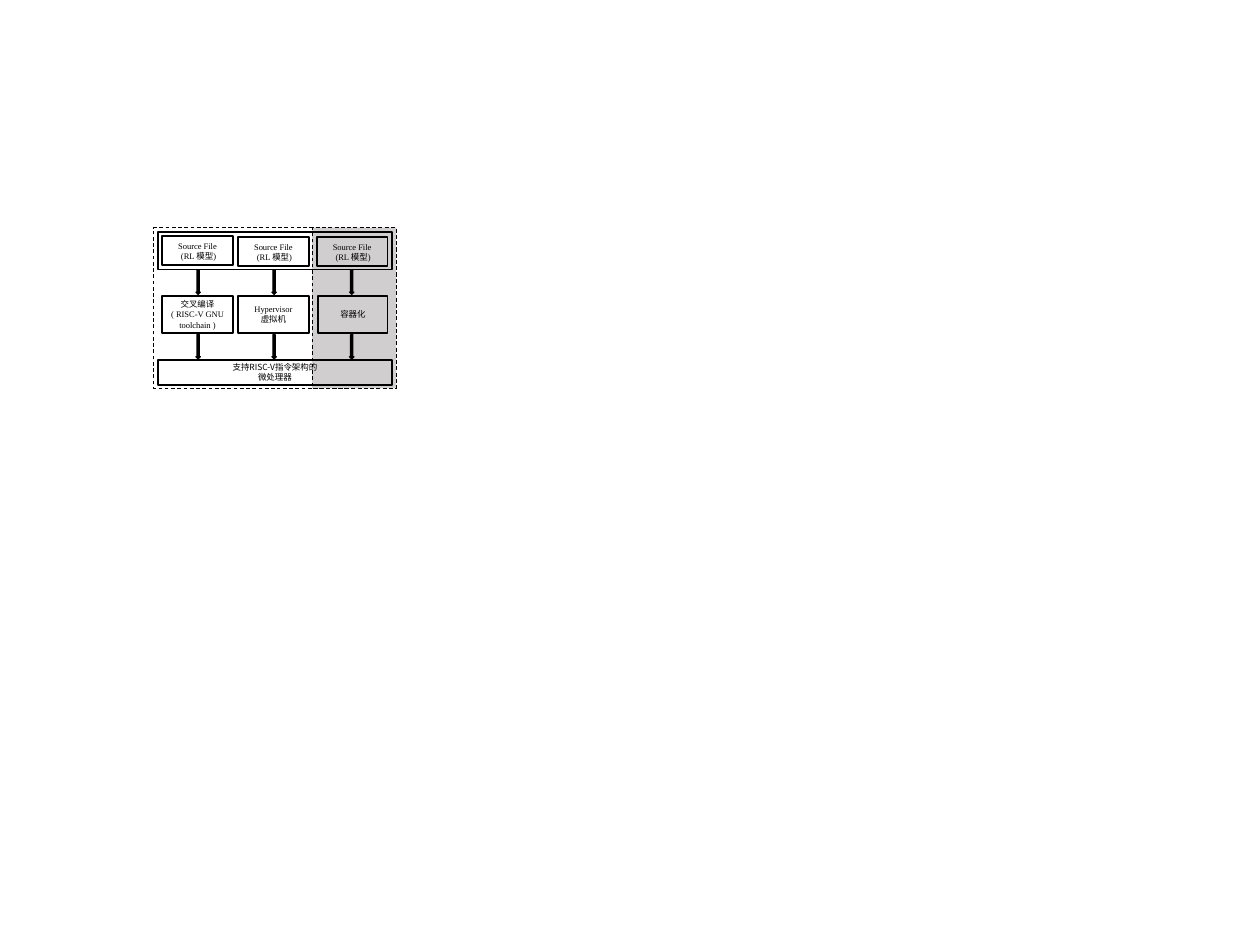
from dataclasses import dataclass

from lxml.etree import SubElement
from pptx import Presentation
from pptx.dml.color import RGBColor
from pptx.enum.dml import MSO_LINE
from pptx.enum.shapes import MSO_SHAPE
from pptx.enum.text import MSO_ANCHOR, PP_ALIGN
from pptx.oxml.ns import qn
from pptx.shapes.autoshape import Shape
from pptx.slide import Slide
from pptx.util import Cm, Pt

BLACK = "000000"
GREY = "D0CECE"
LATIN_FONT = "Times New Roman"
CHINESE_FONT = "Noto Sans CJK SC"

SOLID = {"width": Pt(1.5)}
DASHED = {"width": Pt(0.75), "dash_style": MSO_LINE.DASH}
ARROW_EDGE = {"width": Pt(1)}


@dataclass(frozen=True)
class Box:
    """A rectangle, with lengths in centimetres."""
    left: float
    top: float
    width: float
    height: float
    lines: tuple[str, ...] = ()
    font: str = LATIN_FONT


@dataclass(frozen=True)
class Route:
    """One way of bringing a model to the processor."""
    left: float
    source_top: float
    step: Box
    arrow_center: float


SOURCE_LINES = ("Source File", " (RL 模型)")
SOURCE_WIDTH, SOURCE_HEIGHT = 2.06, 0.84
STEP_TOP, STEP_HEIGHT = 8.61, 1.09
ARROW_TOPS = (7.86, 9.74)
ARROW_WIDTH, ARROW_HEIGHT = 0.13, 0.71

CONTAINER_AREA = Box(9.09, 6.63, 2.44, 4.67)
SYSTEM_FRAME = Box(4.47, 6.63, 7.06, 4.67)
SOURCE_FRAME = Box(4.6, 6.76, 6.81, 1.09)
PROCESSOR = Box(4.6, 10.49, 6.81, 0.71,
                ("支持RISC-V指令架构的", "微处理器"), CHINESE_FONT)

ROUTES = (
    Route(4.72, 6.88, Box(4.72, STEP_TOP, 2.06, STEP_HEIGHT,
                          ("交叉编译", "( RISC-V GNU toolchain )")), 5.77),
    Route(6.93, 6.91, Box(6.93, STEP_TOP, 2.06, STEP_HEIGHT,
                          ("Hypervisor", "虚拟机")), 7.98),
    Route(9.22, 6.91, Box(9.27, STEP_TOP, 2.01, STEP_HEIGHT,
                          ("容器化",)), 10.24),
)


def color(hex_value: str) -> RGBColor:
    return RGBColor.from_string(hex_value)


def apply_format(target: object, values: dict) -> None:
    for name, value in values.items():
        setattr(target, name, value)


def write_lines(shape: Shape, box: Box) -> None:
    frame = shape.text_frame
    apply_format(frame, {"word_wrap": True, "vertical_anchor": MSO_ANCHOR.MIDDLE})
    for index, line in enumerate(box.lines):
        paragraph = frame.add_paragraph() if index else frame.paragraphs[0]
        paragraph.alignment = PP_ALIGN.CENTER
        run = paragraph.add_run()
        run.text = line
        apply_format(run.font, {"size": Pt(7), "name": box.font})
        run.font.color.rgb = color(BLACK)
        east_asian = SubElement(run.font._element, qn("a:ea"))
        east_asian.set("typeface", CHINESE_FONT)


def draw_box(slide: Slide, box: Box, edge: dict, fill: str | None = None,
             preset: MSO_SHAPE = MSO_SHAPE.RECTANGLE) -> None:
    shape = slide.shapes.add_shape(preset, Cm(box.left), Cm(box.top),
                                   Cm(box.width), Cm(box.height))
    shape.shadow.inherit = False
    if fill:
        shape.fill.solid()
        shape.fill.fore_color.rgb = color(fill)
    else:
        shape.fill.background()
    shape.line.color.rgb = color(BLACK)
    apply_format(shape.line, edge)
    if box.lines:
        write_lines(shape, box)


def draw_route(slide: Slide, route: Route) -> None:
    source = Box(route.left, route.source_top, SOURCE_WIDTH, SOURCE_HEIGHT, SOURCE_LINES)
    draw_box(slide, source, SOLID)
    draw_box(slide, route.step, SOLID)
    for top in ARROW_TOPS:
        arrow = Box(route.arrow_center - ARROW_WIDTH / 2, top, ARROW_WIDTH, ARROW_HEIGHT)
        draw_box(slide, arrow, ARROW_EDGE, BLACK, MSO_SHAPE.DOWN_ARROW)


def main() -> None:
    presentation = Presentation()
    apply_format(presentation, {"slide_width": Cm(36.68), "slide_height": Cm(27.51)})
    blank_layout = presentation.slide_layouts[6]
    slide = presentation.slides.add_slide(blank_layout)

    # Shaded area and frames
    draw_box(slide, CONTAINER_AREA, DASHED, GREY)
    draw_box(slide, SOURCE_FRAME, SOLID)
    draw_box(slide, SYSTEM_FRAME, DASHED)

    # Shared processor
    draw_box(slide, PROCESSOR, SOLID)

    # Three routes from source file to processor
    for route in ROUTES:
        draw_route(slide, route)

    presentation.save("out.pptx")


if __name__ == "__main__":
    main()
